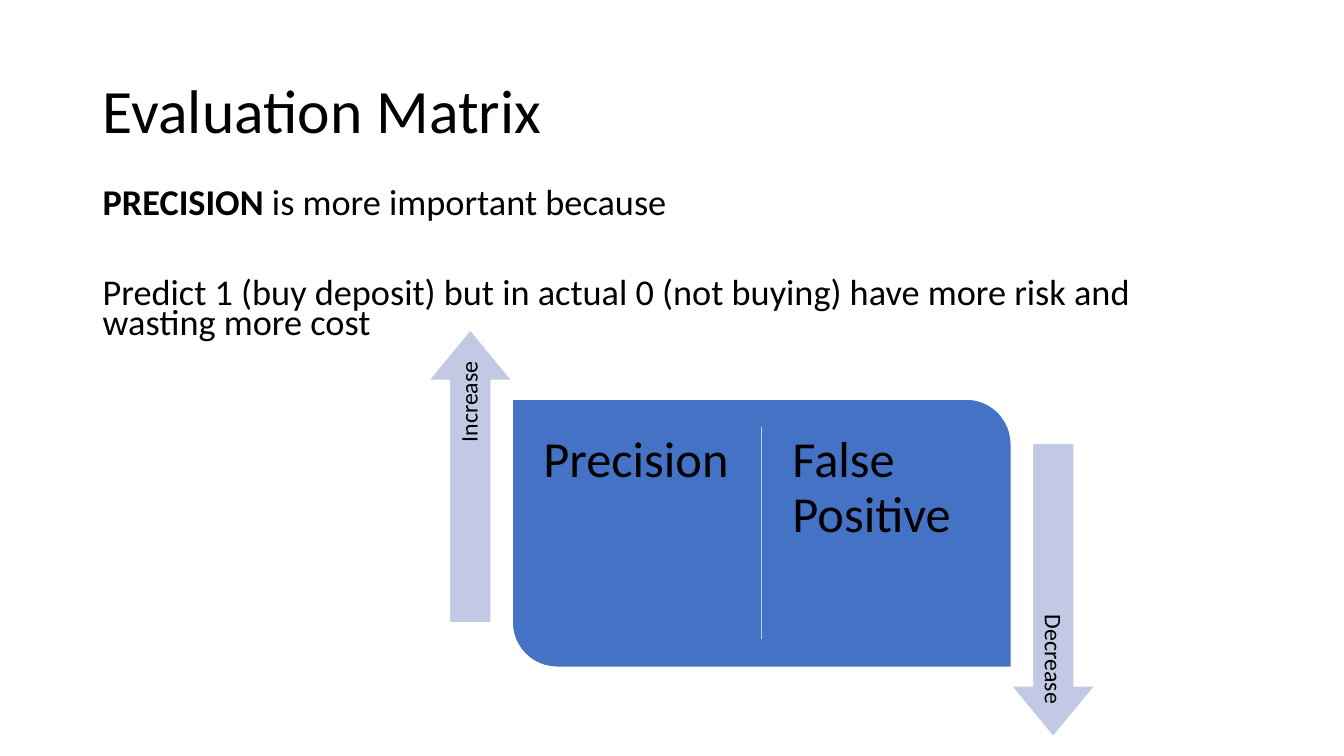
import dataclasses

import pptx
import pptx.dml.color
import pptx.enum.shapes
import pptx.enum.text
import pptx.oxml.xmlchemy
import pptx.util
import lxml.etree

SHAPE = pptx.enum.shapes.MSO_SHAPE
ALIGN = pptx.enum.text.PP_ALIGN
ANCHOR = pptx.enum.text.MSO_ANCHOR
DRAW = "http://schemas.openxmlformats.org/drawingml/2006/main"
SCALE = 9144  # 100 px to the inch


@dataclasses.dataclass(frozen=True)
class Theme:
    font: str = "Calibri"
    ink: str = "000000"
    edge: str = "FFFFFF"
    panel: str = "4472C4"
    pale: str = "C1C9E4"
    title: float = 44
    body: float = 25.9
    term: float = 36
    label: float = 17


THEME = Theme()


def emu(*sizes):
    return [pptx.util.Emu(size * SCALE) for size in sizes]


def color(code):
    return pptx.dml.color.RGBColor.from_string(code)


def style(para, size, space=0.9, align=ALIGN.LEFT):
    para.line_spacing = space
    para.alignment = align
    for run in para.runs:
        run.font.name = THEME.font
        run.font.size = pptx.util.Pt(size)
        run.font.color.rgb = color(THEME.ink)


def add_text(slide, box, inset=None, anchor=ANCHOR.TOP):
    shape = slide.shapes.add_textbox(*emu(*box))
    frame = shape.text_frame
    frame.word_wrap = True
    frame.vertical_anchor = anchor
    if inset is not None:
        pad, = emu(inset)
        frame.margin_left = frame.margin_right = pad
        frame.margin_top = frame.margin_bottom = pad
    return shape


def add_block(slide, kind, box, fill, adjust):
    shape = slide.shapes.add_shape(kind, *emu(*box))
    shape.shadow.inherit = False
    shape.fill.solid()
    shape.fill.fore_color.rgb = color(fill)
    shape.line.color.rgb = color(THEME.edge)
    shape.line.width = pptx.util.Pt(1)
    for i, value in enumerate(adjust):
        shape.adjustments[i] = value
    return shape


def add_title(slide, box, text):
    title = slide.shapes.title
    title.left, title.top, title.width, title.height = emu(*box)
    frame = title.text_frame
    frame.text = text
    frame.vertical_anchor = ANCHOR.MIDDLE
    style(frame.paragraphs[0], THEME.title)


def add_body(slide, box):
    frame = add_text(slide, box).text_frame
    lead = frame.paragraphs[0]
    for text, bold in (("PRECISION ", True), ("is more important because", False)):
        run = lead.add_run()
        run.text = text
        run.font.bold = bold
    reason = frame.add_paragraph()
    reason.text = ("Predict 1 (buy deposit) but in actual 0 (not buying) "
                   "have more risk and wasting more cost")
    for para, gap in ((lead, 10), (reason, 42)):
        style(para, THEME.body, space=0.7)
        para.space_before = pptx.util.Pt(gap)


def add_panel(slide, box, terms):
    x, y, w, h = box
    add_block(slide, SHAPE.ROUND_2_DIAG_RECTANGLE, box, THEME.panel, (0, 0.167))
    mid = x + w // 2
    rule = slide.shapes.add_connector(
        pptx.enum.shapes.MSO_CONNECTOR.STRAIGHT, *emu(mid, y + 28, mid, y + h - 28))
    rule.line.color.rgb = color(THEME.pale)
    rule.line.width = pptx.util.Pt(1)
    lxml.etree.SubElement(rule.line._get_or_add_ln().getparent(), f"{{{DRAW}}}effectLst")
    for i, term in enumerate(terms):
        column = (x + i * w // 2 + 16, y + 20, w // 2 - 32, h - 40)
        frame = add_text(slide, column, inset=15).text_frame
        frame.text = term
        style(frame.paragraphs[0], THEME.term)


def turn(x, y, w, h):
    """Box that covers the given one after a quarter turn."""
    return x + (w - h) // 2, y + (h - w) // 2, h, w


def add_arrow(slide, box, text, up):
    x, y, w, h = box
    angle = 270 if up else 90
    arrow = add_block(slide, SHAPE.RIGHT_ARROW, turn(*box), THEME.pale, (0.498, 0.607))
    inner = (x + 21, y + 25 if up else y, w - 42, h - 25)
    label = add_text(slide, turn(*inner), inset=7, anchor=ANCHOR.MIDDLE)
    arrow.rotation = label.rotation = angle
    label.text_frame.text = text
    style(label.text_frame.paragraphs[0], THEME.label, align=ALIGN.RIGHT)


def main():
    deck = pptx.Presentation()
    deck.slide_width, deck.slide_height = emu(1333, 750)
    slide = deck.slides.add_slide(deck.slide_layouts[5])
    add_title(slide, (92, 40, 1150, 145), "Evaluation Matrix")
    add_body(slide, (92, 185, 1150, 170))
    add_panel(slide, (508, 396, 495, 266), ("Precision", "False Positive"))
    add_arrow(slide, (425, 327, 83, 291), "Increase", up=True)
    add_arrow(slide, (1003, 440, 83, 291), "Decrease", up=False)
    deck.save("out.pptx")


if __name__ == "__main__":
    main()
